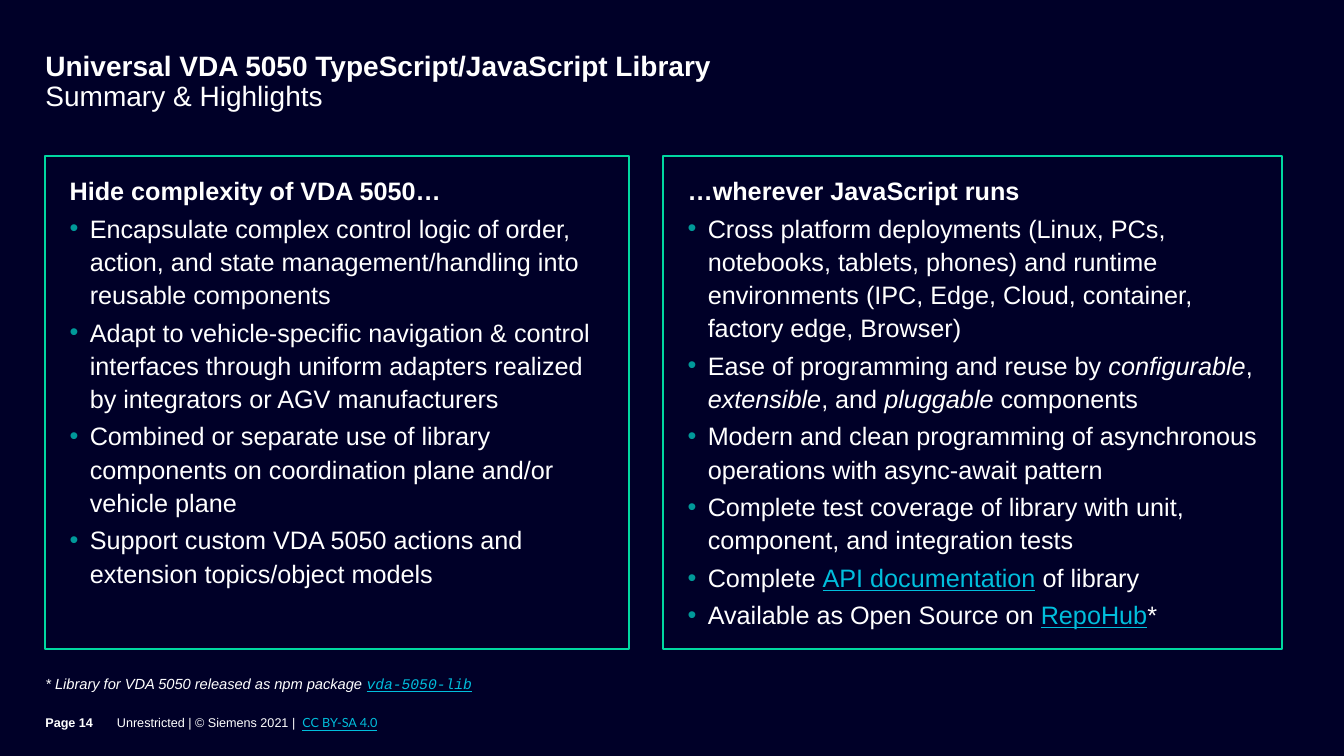
from dataclasses import dataclass

import pptx
import pptx.dml.color
import pptx.enum.shapes
import pptx.enum.text
import pptx.oxml
import pptx.oxml.ns
import pptx.shapes.base
import pptx.slide
import pptx.text.text
import pptx.util
from lxml import etree

Inches = pptx.util.Inches
BACKGROUND, WHITE, LINK, FRAME, BULLET = "000028", "FFFFFF", "00BEDC", "00D7A0", "009999"
LEFT = 0.45
FOOTER_TOP, FOOTER_HEIGHT = 6.9, 0.6


@dataclass(frozen=True)
class Span:
    text: str
    bold: bool = False
    italic: bool = False
    link: bool = False
    font: str = "Arial"


@dataclass(frozen=True)
class Area:
    left: float
    top: float
    width: float
    height: float


@dataclass(frozen=True)
class Panel:
    area: Area
    heading: str
    bullets: list[list[Span]]


@dataclass(frozen=True)
class Label:
    area: Area
    size: float
    spans: list[Span]
    margins: tuple[float, float, float, float] = (0, 0, 0, 0)
    middle: bool = False
    wrap: bool = True


PANELS = [
    Panel(
        Area(LEFT, 1.55, 5.79, 4.89),
        "Hide complexity of VDA 5050…",
        [
            [Span("Encapsulate complex control logic of order, action, and state "
                  "management/handling into reusable components")],
            [Span("Adapt to vehicle-specific navigation & control interfaces through "
                  "uniform adapters realized by integrators or AGV manufacturers")],
            [Span("Combined or separate use of library components on coordination "
                  "plane and/or vehicle plane")],
            [Span("Support custom VDA 5050 actions and extension topics/object models")],
        ],
    ),
    Panel(
        Area(6.58, 1.55, 6.14, 4.89),
        "…wherever JavaScript runs",
        [
            [Span("Cross platform deployments (Linux, PCs, notebooks, tablets, phones) and "
                  "runtime environments (IPC, Edge, Cloud, container, factory edge, Browser)")],
            [Span("Ease of programming and reuse by "), Span("configurable", italic=True),
             Span(", "), Span("extensible", italic=True), Span(", and "),
             Span("pluggable", italic=True), Span(" components")],
            [Span("Modern and clean programming of asynchronous operations with "
                  "async-await pattern")],
            [Span("Complete test coverage of library with unit, component, and "
                  "integration tests")],
            [Span("Complete "), Span("API documentation", link=True), Span(" of library")],
            [Span("Available as Open Source on "), Span("RepoHub", link=True), Span("*")],
        ],
    ),
]

FOOTER_MARGINS = (0, 0, 0, 0.07)
LABELS = [
    Label(
        Area(1.16, FOOTER_TOP, 10.08, FOOTER_HEIGHT), 9,
        [Span("Unrestricted | © Siemens 2021 |  "),
         Span("CC BY-SA 4.0", link=True, font="Lato")],
        FOOTER_MARGINS, middle=True,
    ),
    Label(
        Area(LEFT, FOOTER_TOP, 0.71, FOOTER_HEIGHT), 9,
        [Span("Page 14", bold=True)], FOOTER_MARGINS, middle=True,
    ),
    Label(
        Area(LEFT, 6.69, 4.29, 0.18), 10.5,
        [Span("* Library for VDA 5050 released as npm package ", italic=True),
         Span("vda-5050-lib", italic=True, link=True, font="Courier New")],
        wrap=False,
    ),
]


def color(value: str) -> pptx.dml.color.RGBColor:
    return pptx.dml.color.RGBColor.from_string(value)


def place(area: Area) -> tuple[int, int, int, int]:
    return Inches(area.left), Inches(area.top), Inches(area.width), Inches(area.height)


def set_frame(frame: pptx.text.text.TextFrame,
              margins: tuple[float, float, float, float]) -> None:
    frame.word_wrap = True
    frame.vertical_anchor = pptx.enum.text.MSO_ANCHOR.TOP
    frame.margin_left, frame.margin_top, frame.margin_right, frame.margin_bottom = map(
        Inches, margins)


def add_span(para: pptx.text.text._Paragraph, span: Span, size: float) -> None:
    run = para.add_run()
    run.text = span.text
    font = run.font
    font.name, font.size = span.font, pptx.util.Pt(size)
    font.bold, font.italic, font.underline = span.bold, span.italic, span.link
    font.color.rgb = color(LINK if span.link else WHITE)


def add_bullet(para: pptx.text.text._Paragraph) -> None:
    properties = para._p.get_or_add_pPr()
    properties.set("marL", str(Inches(0.2)))
    properties.set("indent", str(-Inches(0.2)))
    qn = pptx.oxml.ns.qn
    bullet_color = etree.SubElement(properties, qn("a:buClr"))
    etree.SubElement(bullet_color, qn("a:srgbClr"), val=BULLET)
    etree.SubElement(properties, qn("a:buFont"), typeface="Arial")
    etree.SubElement(properties, qn("a:buChar"), char="•")


def add_title(page: pptx.slide.Slide) -> None:
    box = page.shapes.add_textbox(*place(Area(LEFT, 0.52, 10.79, 0.63)))
    set_frame(box.text_frame, (0, 0, 0.35, 0.02))
    para = box.text_frame.paragraphs[0]
    para.line_spacing = 0.9
    add_span(para, Span("Universal VDA 5050 TypeScript/JavaScript Library", bold=True), 20)
    para.add_line_break()
    add_span(para, Span("Summary & Highlights"), 20)


def add_panel(page: pptx.slide.Slide, panel: Panel) -> None:
    box = page.shapes.add_shape(pptx.enum.shapes.MSO_SHAPE.RECTANGLE, *place(panel.area))
    box.shadow.inherit = False
    box.fill.background()
    box.line.color.rgb = color(FRAME)
    box.line.width = pptx.util.Pt(1.5)
    frame = box.text_frame
    set_frame(frame, (0.24, 0.16, 0.24, 0.16))
    for index, spans in enumerate([[Span(panel.heading, bold=True)], *panel.bullets]):
        para = frame.add_paragraph() if index else frame.paragraphs[0]
        para.alignment = pptx.enum.text.PP_ALIGN.LEFT
        para.line_spacing = 1.1
        para.space_after = pptx.util.Pt(3)
        if index:
            para.level = 1
            add_bullet(para)
        for span in spans:
            add_span(para, span, 18)


def add_label(page: pptx.slide.Slide, label: Label) -> None:
    box = page.shapes.add_textbox(*place(label.area))
    frame = box.text_frame
    set_frame(frame, label.margins)
    if label.middle:
        frame.vertical_anchor = pptx.enum.text.MSO_ANCHOR.MIDDLE
    if not label.wrap:
        frame.word_wrap = False
        frame.auto_size = pptx.enum.text.MSO_AUTO_SIZE.SHAPE_TO_FIT_TEXT
    for span in label.spans:
        add_span(frame.paragraphs[0], span, label.size)


def main() -> None:
    deck = pptx.Presentation()
    deck.slide_width, deck.slide_height = Inches(13.33), Inches(7.5)
    page = deck.slides.add_slide(deck.slide_layouts[6])
    page.background.fill.solid()
    page.background.fill.fore_color.rgb = color(BACKGROUND)
    add_title(page)
    for panel in PANELS:
        add_panel(page, panel)
    for label in LABELS:
        add_label(page, label)
    deck.save("out.pptx")


if __name__ == "__main__":
    main()
